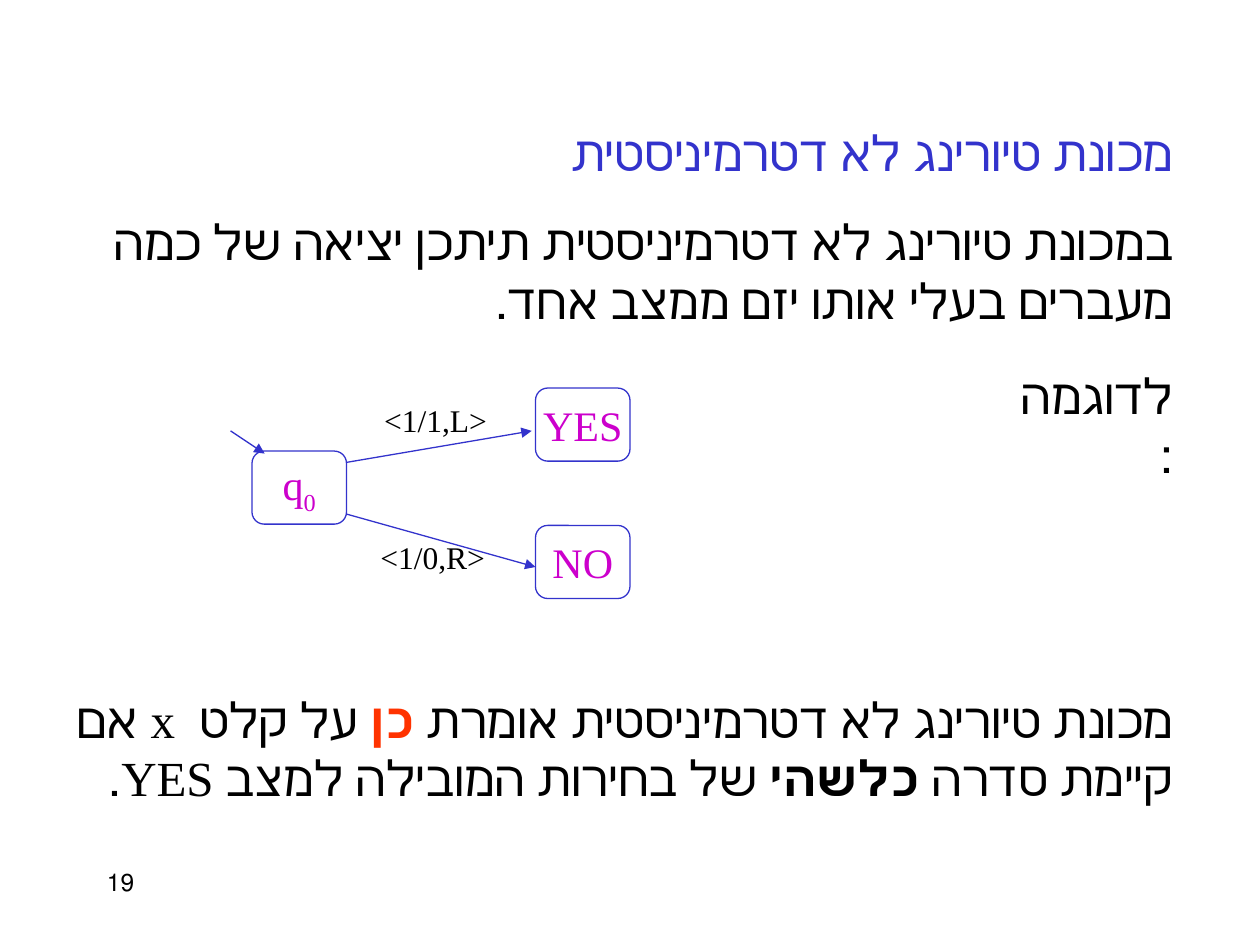
from dataclasses import dataclass
from lxml import etree
from pptx import Presentation
from pptx.dml.color import RGBColor
from pptx.enum.shapes import MSO_CONNECTOR, MSO_SHAPE
from pptx.enum.text import MSO_ANCHOR, PP_ALIGN
from pptx.oxml.ns import qn
from pptx.util import Inches, Pt

LEFT, MID, RIGHT = PP_ALIGN.LEFT, PP_ALIGN.CENTER, PP_ALIGN.RIGHT
CENTER = MSO_ANCHOR.MIDDLE
ROUND = MSO_SHAPE.ROUNDED_RECTANGLE
STRAIGHT = MSO_CONNECTOR.STRAIGHT


@dataclass(frozen=True)
class Theme:
    font: str = "Times New Roman"
    ink: RGBColor = RGBColor(0, 0, 0)
    paper: RGBColor = RGBColor(255, 255, 255)
    blue: RGBColor = RGBColor(0x33, 0x33, 0xCC)
    pink: RGBColor = RGBColor(0xCC, 0, 0xCC)
    red: RGBColor = RGBColor(0xFF, 0x33, 0)
    body: int = 28
    state: int = 24
    label: int = 18
    page: int = 14
    line: float = 0.75


T = Theme()


def write(frame, parts, size, color, align, rtl=True):
    para = frame.paragraphs[0]
    para.alignment = align
    if rtl:
        para._p.get_or_add_pPr().set("rtl", "1")
    para.font.name = T.font
    para.font.size = Pt(size)
    para.font.color.rgb = color
    for text, style in parts:
        run = para.add_run()
        run.text = text
        run.font.name = T.font
        run.font.size = Pt(size)
        run.font.color.rgb = style.get("color", color)
        if style.get("bold"):
            run.font.bold = True
        if style.get("sub"):
            run._r.get_or_add_rPr().set("baseline", "-25000")


def add_text(shapes, box, parts, size=T.body, color=T.ink, align=RIGHT, rtl=True):
    frame = shapes.add_textbox(*map(Inches, box)).text_frame
    frame.word_wrap = True
    write(frame, parts, size, color, align, rtl)
    return frame


def add_state(shapes, left, top, parts):
    node = shapes.add_shape(ROUND, *map(Inches, (left, top, 0.75, 0.58)))
    node.shadow.inherit = False
    node.fill.solid()
    node.fill.fore_color.rgb = T.paper
    node.line.color.rgb = T.blue
    node.line.width = Pt(T.line)
    frame = node.text_frame
    frame.word_wrap = False
    frame.vertical_anchor = CENTER
    write(frame, parts, T.state, T.pink, MID)


def add_arrow(shapes, *ends):
    arrow = shapes.add_connector(STRAIGHT, *map(Inches, ends))
    arrow.line.color.rgb = T.blue
    arrow.line.width = Pt(T.line)
    line = arrow.line._get_or_add_ln()
    etree.SubElement(line, qn("a:tailEnd"), type="triangle")
    etree.SubElement(arrow._element.spPr, qn("a:effectLst"))


def add_graph(slide, x, y):
    shapes = slide.shapes.add_group_shape().shapes
    states = [
        (0.17, 0.5, [("q", {}), ("0", {"sub": True})]),
        (2.42, 0, [("YES", {})]),
        (2.42, 1.09, [("NO", {})]),
    ]
    arrows = [
        (0, 0.34, 0.27, 0.52),
        (0.92, 0.59, 2.39, 0.34),
        (0.92, 1, 2.42, 1.42),
    ]
    labels = [(1.12, 0, "<1/1,L>"), (1.09, 1.09, "<1/0,R>")]
    for left, top, parts in states:
        add_state(shapes, x + left, y + top, parts)
    for x1, y1, x2, y2 in arrows:
        add_arrow(shapes, x + x1, y + y1, x + x2, y + y2)
    for left, top, text in labels:
        box = (x + left, y + top, 1.22, 0.5)
        frame = add_text(shapes, box, [(text, {})], T.label, align=LEFT, rtl=False)
        frame.vertical_anchor = CENTER


def add_prose(slide, left, width):
    shapes = slide.shapes
    add_text(shapes, (left, 0.92, width, 0.57),
             [("מכונת טיורינג לא דטרמיניסטית", {})], color=T.blue)
    add_text(shapes, (left, 1.63, width, 1.03),
             [("במכונת טיורינג לא דטרמיניסטית תיתכן יציאה של כמה "
               "מעברים בעלי אותו יזם ממצב אחד.", {})])
    add_text(shapes, (left + width - 1.5, 2.85, 1.5, 0.57), [("לדוגמה:", {})])
    add_text(shapes, (left, 5.42, width, 1.03), [
        ("מכונת טיורינג לא דטרמיניסטית אומרת ", {}),
        ("כן", {"color": T.red, "bold": True}),
        (" על קלט  x אם קיימת סדרה ", {}),
        ("כלשהי", {"bold": True}),
        (" של בחירות המובילה למצב YES.", {}),
    ])


def main():
    deck = Presentation()
    deck.slide_width, deck.slide_height = Inches(10), Inches(7.5)
    slide = deck.slides.add_slide(deck.slide_layouts[6])
    add_prose(slide, 0.33, 9.08)
    add_graph(slide, 1.83, 3.08)
    add_text(slide.shapes, (0.75, 6.83, 2.08, 0.5), [("19", {})], T.page, align=LEFT)
    deck.save("out.pptx")


main()
